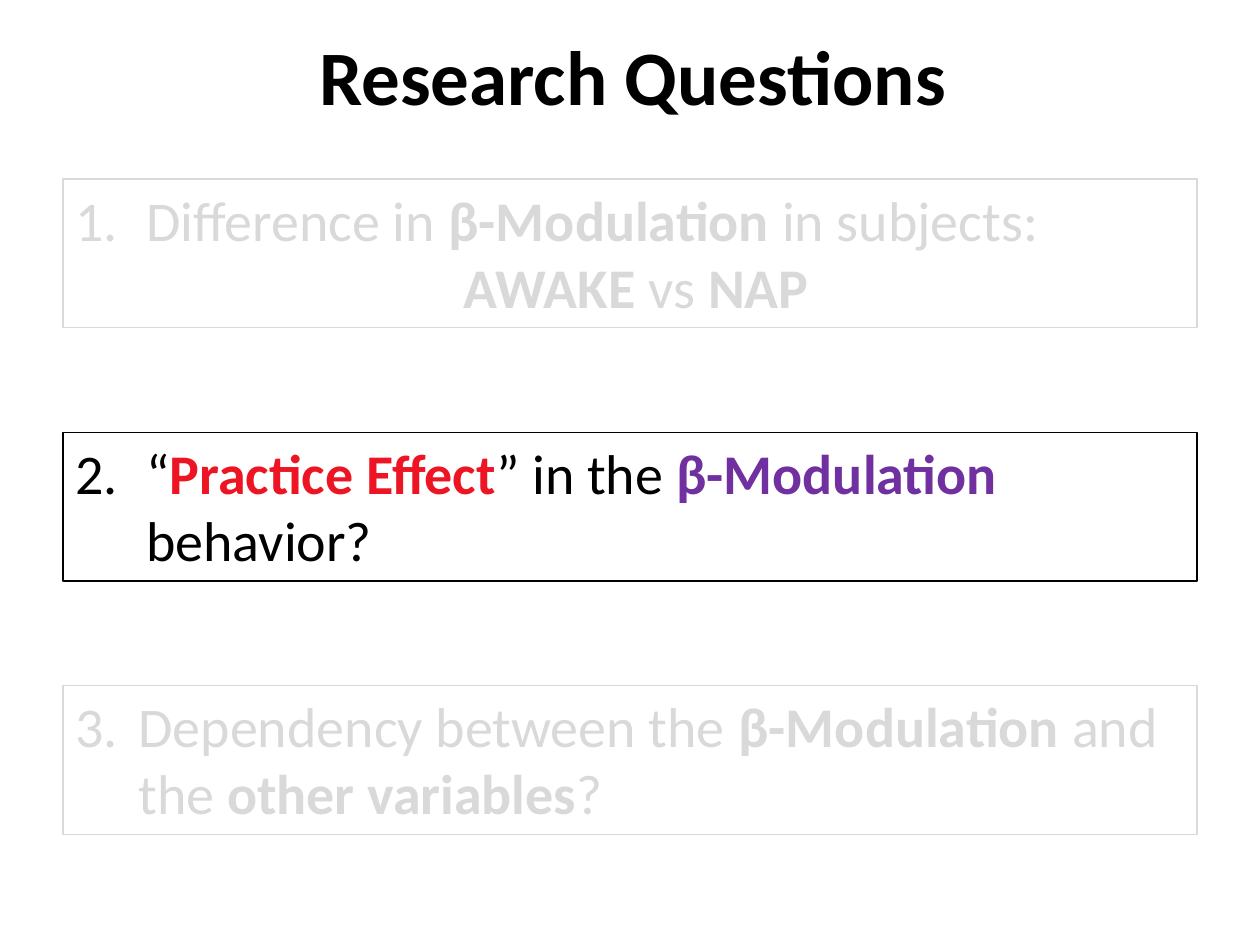
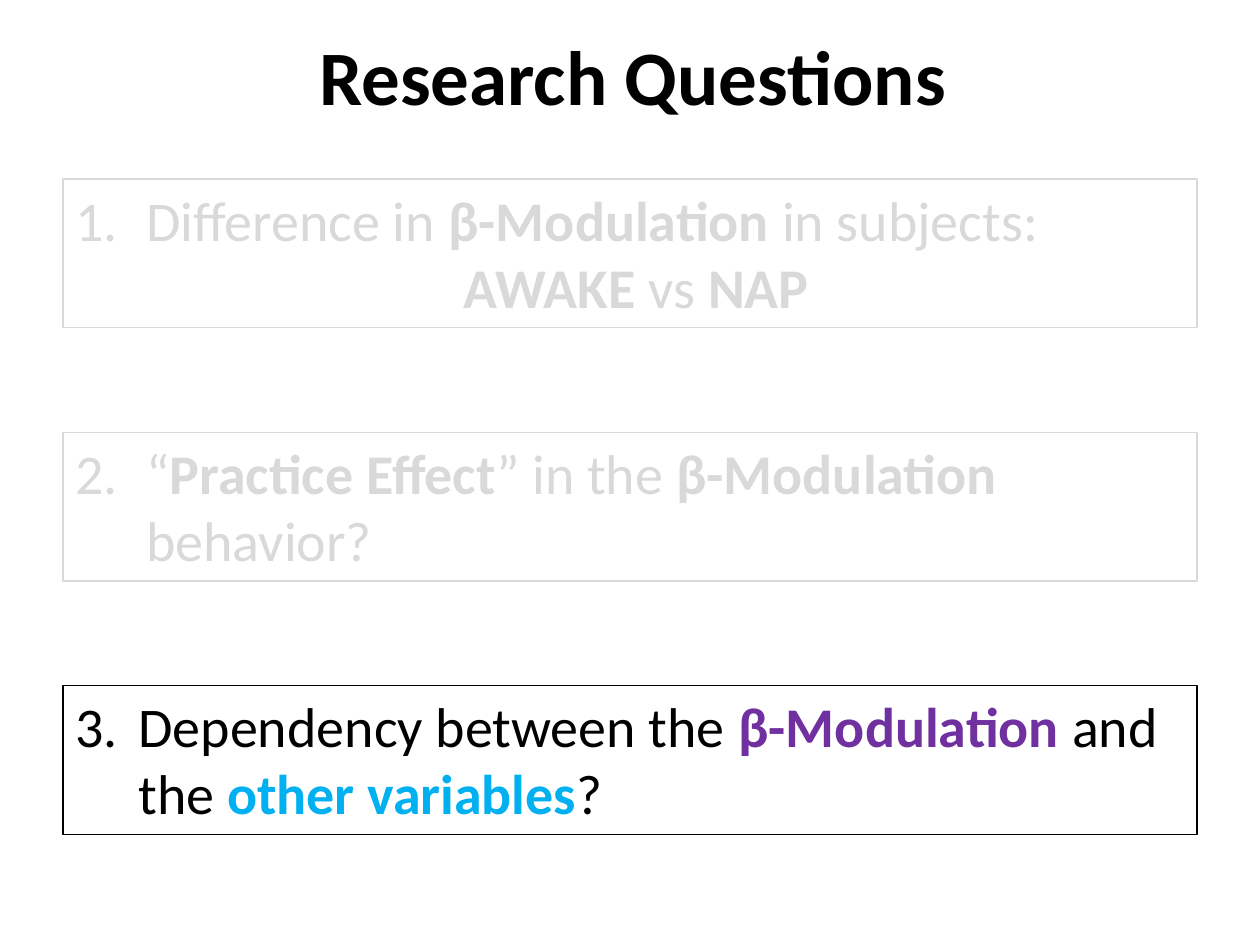
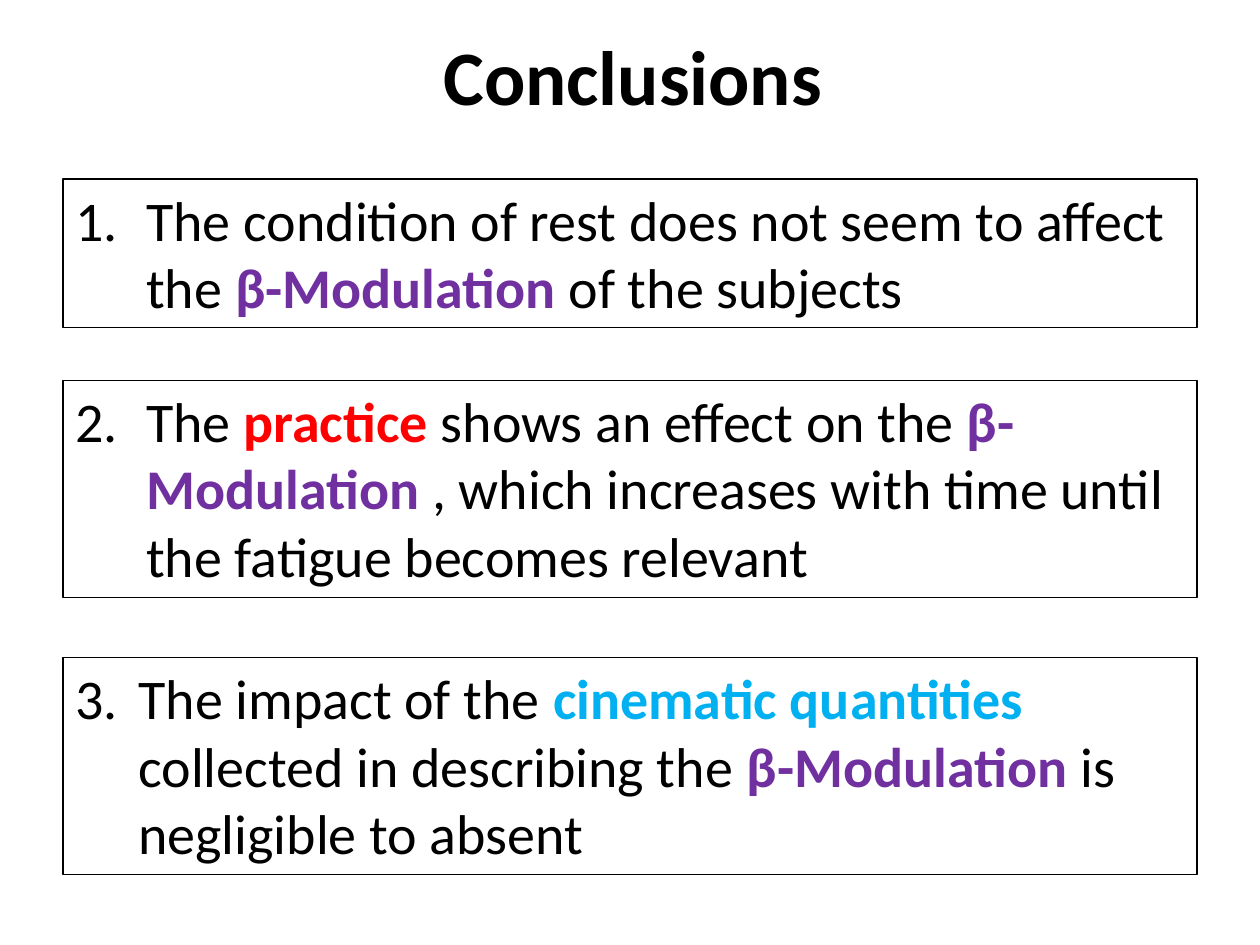
from pptx import Presentation
from pptx.dml.color import RGBColor
from pptx.enum.text import MSO_ANCHOR, MSO_AUTO_SIZE, PP_ALIGN
from pptx.util import Pt
from lxml.etree import SubElement
from pptx.oxml.ns import qn

hues = {
    "ink": "000000",
    "mute": "D9D9D9",
    "beta": "7030A0",
    "prac": "ED1524",
    "red": "FF0000",
    "vars": "00B0F0",
}
head = {"name": "Calibri", "size": Pt(44), "bold": True}
body = {"name": "Calibri", "size": Pt(32), "bold": False}
left, wide = 36, 648
top, step = 102.24, 144.72
low, tall = 85, 124
hangs = [40.5, 40.5, 36]

asks = [
    [[("Difference in ", "ink"), ("β-Modulation", "beta"), (" in subjects:", "ink")],
     [(" AWAKE", "beta"), (" vs ", "ink"), ("NAP", "beta")]],
    [[("“", "ink"), ("Practice Effect", "prac"), ("” in the ", "ink"),
      ("β-Modulation ", "beta"), ("behavior?", "ink")]],
    [[("Dependency between the ", "ink"), ("β-Modulation ", "beta"),
      ("and the ", "ink"), ("other variables", "vars"), ("?", "ink")]],
]
ends = [
    [[("The condition of rest does not seem to affect the ", "ink"),
      ("β-Modulation", "beta"), (" of the subjects", "ink")]],
    [[("The ", "ink"), ("practice", "red"), (" shows an effect on the ", "ink"),
      ("β-Modulation ", "beta"),
      (", which increases with time until the fatigue becomes relevant", "ink")]],
    [[("The impact of the ", "ink"), ("cinematic quantities ", "vars"),
      ("collected in describing the ", "ink"), ("β-Modulation", "beta"),
      (" is negligible to absent", "ink")]],
]
grid = [(top + i * step, low) for i in range(3)]
stack = [(top, low), (217.44, tall), (375.84, tall)]
pages = [
    ("Research Questions", asks, grid, [1]),
    ("Research Questions", asks, grid, [2]),
    ("Conclusions", ends, stack, [0, 1, 2]),
]


def add_run(para, text, look, hue):
    run = para.add_run()
    run.text = text
    for key, val in look.items():
        setattr(run.font, key, val)
    run.font.color.rgb = RGBColor.from_string(hues[hue])


deck = Presentation()
deck.slide_width, deck.slide_height = Pt(720), Pt(540)

for title, items, spots, live in pages:
    slide = deck.slides.add_slide(deck.slide_layouts[6])
    box = slide.shapes.add_textbox(Pt(64.8), Pt(10.8), Pt(594), Pt(63.36))
    frame = box.text_frame
    frame.word_wrap = True
    frame.vertical_anchor = MSO_ANCHOR.MIDDLE
    para = frame.paragraphs[0]
    para.alignment = PP_ALIGN.CENTER
    add_run(para, title, head, "ink")

    for i, (item, (y, high), hang) in enumerate(zip(items, spots, hangs)):
        box = slide.shapes.add_textbox(Pt(left), Pt(y), Pt(wide), Pt(high))
        box.line.width = Pt(0.75)
        edge = "ink" if i in live else "mute"
        box.line.color.rgb = RGBColor.from_string(hues[edge])
        frame = box.text_frame
        frame.word_wrap = True
        frame.auto_size = MSO_AUTO_SIZE.SHAPE_TO_FIT_TEXT
        for j, runs in enumerate(item):
            if j:
                para = frame.add_paragraph()
                para.alignment = PP_ALIGN.CENTER
            else:
                para = frame.paragraphs[0]
                props = para._p.get_or_add_pPr()
                props.set("marL", str(Pt(hang)))
                props.set("indent", str(-Pt(hang)))
                SubElement(props, qn("a:buFont"), typeface="+mj-lt")
                SubElement(props, qn("a:buAutoNum"), type="arabicPeriod", startAt=str(i + 1))
            for text, hue in runs:
                look = {**body, "bold": hue != "ink"}
                add_run(para, text, look, hue if i in live else "mute")

deck.save("out.pptx")
